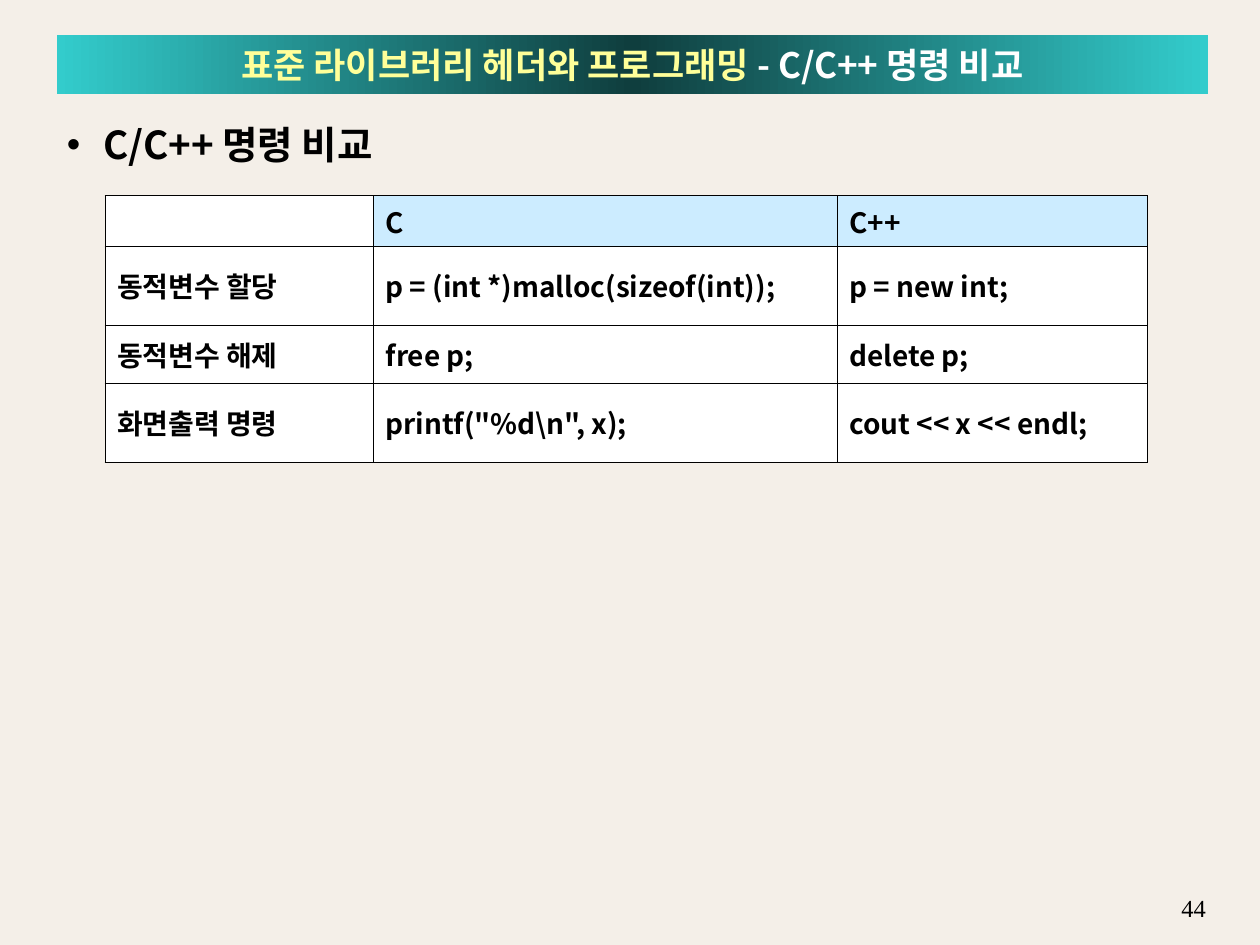
import copy

import lxml.etree
import pptx
import pptx.dml.color
import pptx.enum.text
import pptx.oxml.ns
import pptx.util

Pt = pptx.util.Pt
qn = pptx.oxml.ns.qn
ALIGN = pptx.enum.text.PP_ALIGN
MIDDLE = pptx.enum.text.MSO_ANCHOR.MIDDLE

COLORS = {
    "background": "F4EFE8",
    "text": "000000",
    "white": "FFFFFF",
    "topic": "FFFF99",
    "header": "CCECFF",
    "banner_edge": "33CCCC",
    "banner_center": "0F3E3E",
}
KOREAN_FONT = "Noto Sans CJK KR"
NUMBER_FONT = "Times New Roman"

COLUMN_WIDTHS = [153.4, 265, 177.1]
ROW_HEIGHTS = [28.8, 45.4, 33.1, 45.4]
COMPARISON = [
    ["", "C", "C++"],
    ["동적변수 할당", "p = (int *)malloc(sizeof(int));", "p = new int;"],
    ["동적변수 해제", "free p;", "delete p;"],
    ["화면출력 명령", "printf(\"%d\\n\", x);", "cout << x << endl;"],
]


def rgb(name):
    return pptx.dml.color.RGBColor.from_string(COLORS[name])


def format_run(run, size, color="text", font=KOREAN_FONT, bold=True):
    run.font.size = Pt(size)
    run.font.bold = bold
    run.font.color.rgb = rgb(color)
    run.font.name = font
    east_asian = lxml.etree.SubElement(run.font._element, qn("a:ea"))
    east_asian.set("typeface", font)


def place(shape, box):
    shape.left, shape.top, shape.width, shape.height = (Pt(length) for length in box)


def fill_banner(shape):
    shape.fill.gradient()
    stop_list = shape._element.spPr.find(".//" + qn("a:gsLst"))
    stop_list.append(copy.deepcopy(stop_list[0]))
    names = ["banner_edge", "banner_center", "banner_edge"]
    for stop, position, name in zip(shape.fill.gradient_stops, [0, 0.5, 1], names):
        stop.position = position
        stop.color.rgb = rgb(name)
    shape.fill.gradient_angle = 0


def build_title(slide, box):
    title = slide.shapes.title
    place(title, box)
    fill_banner(title)
    text_frame = title.text_frame
    text_frame.auto_size = pptx.enum.text.MSO_AUTO_SIZE.NONE
    text_frame.vertical_anchor = MIDDLE
    paragraph = text_frame.paragraphs[0]
    paragraph.alignment = ALIGN.CENTER
    parts = [("표준 라이브러리 헤더와 프로그래밍 ", "topic"), ("- C/C++ 명령 비교", "white")]
    for text, color in parts:
        run = paragraph.add_run()
        run.text = text
        format_run(run, 20, color)


def build_body(slide, box):
    body = slide.placeholders[1]
    place(body, box)
    text_frame = body.text_frame
    text_frame.auto_size = pptx.enum.text.MSO_AUTO_SIZE.NONE
    text_frame.text = "C/C++ 명령 비교"
    paragraph = text_frame.paragraphs[0]
    paragraph.space_before = Pt(0)
    properties = paragraph._p.get_or_add_pPr()
    properties.set("marL", str(Pt(21)))
    properties.set("indent", str(Pt(-21)))
    bullet_color = lxml.etree.SubElement(properties, qn("a:buClr"))
    lxml.etree.SubElement(bullet_color, qn("a:srgbClr")).set("val", COLORS["text"])
    lxml.etree.SubElement(properties, qn("a:buChar")).set("char", "•")
    format_run(paragraph.runs[0], 22)


def add_borders(cell):
    properties = cell._tc.get_or_add_tcPr()
    for index, side in enumerate(["lnL", "lnR", "lnT", "lnB"]):
        line = lxml.etree.Element(qn("a:" + side))
        line.set("w", str(Pt(0.06)))
        fill = lxml.etree.SubElement(line, qn("a:solidFill"))
        lxml.etree.SubElement(fill, qn("a:srgbClr")).set("val", COLORS["text"])
        properties.insert(index, line)


def build_cell(cell, text, color):
    cell.fill.solid()
    cell.fill.fore_color.rgb = rgb(color)
    cell.vertical_anchor = MIDDLE
    add_borders(cell)
    if text:
        cell.text_frame.text = text
        paragraph = cell.text_frame.paragraphs[0]
        paragraph.alignment = ALIGN.JUSTIFY
        format_run(paragraph.runs[0], 16)


def build_table(slide, left, top):
    table = slide.shapes.add_table(
        len(ROW_HEIGHTS), len(COLUMN_WIDTHS), Pt(left), Pt(top),
        Pt(sum(COLUMN_WIDTHS)), Pt(sum(ROW_HEIGHTS)),
    ).table
    for column, width in zip(table.columns, COLUMN_WIDTHS):
        column.width = Pt(width)
    for row, height in zip(table.rows, ROW_HEIGHTS):
        row.height = Pt(height)
    for row_index, texts in enumerate(COMPARISON):
        for column_index, text in enumerate(texts):
            is_header = row_index == 0 and column_index > 0
            color = "header" if is_header else "white"
            build_cell(table.cell(row_index, column_index), text, color)


def build_page_number(slide, box):
    shape = slide.shapes.add_textbox(*(Pt(length) for length in box))
    text_frame = shape.text_frame
    text_frame.word_wrap = True
    text_frame.text = "44"
    paragraph = text_frame.paragraphs[0]
    paragraph.alignment = ALIGN.RIGHT
    format_run(paragraph.runs[0], 14, font=NUMBER_FONT, bold=False)


def main():
    presentation = pptx.Presentation()
    presentation.slide_width = Pt(720)
    presentation.slide_height = Pt(540)
    slide = presentation.slides.add_slide(presentation.slide_layouts[1])
    slide.background.fill.solid()
    slide.background.fill.fore_color.rgb = rgb("background")
    build_page_number(slide, (666, 507, 30.2, 12.2))
    build_body(slide, (31, 65.5, 663, 442))
    build_title(slide, (32.4, 20.2, 658, 33.8))
    build_table(slide, 59.8, 111.6)
    presentation.save("out.pptx")


if __name__ == "__main__":
    main()
